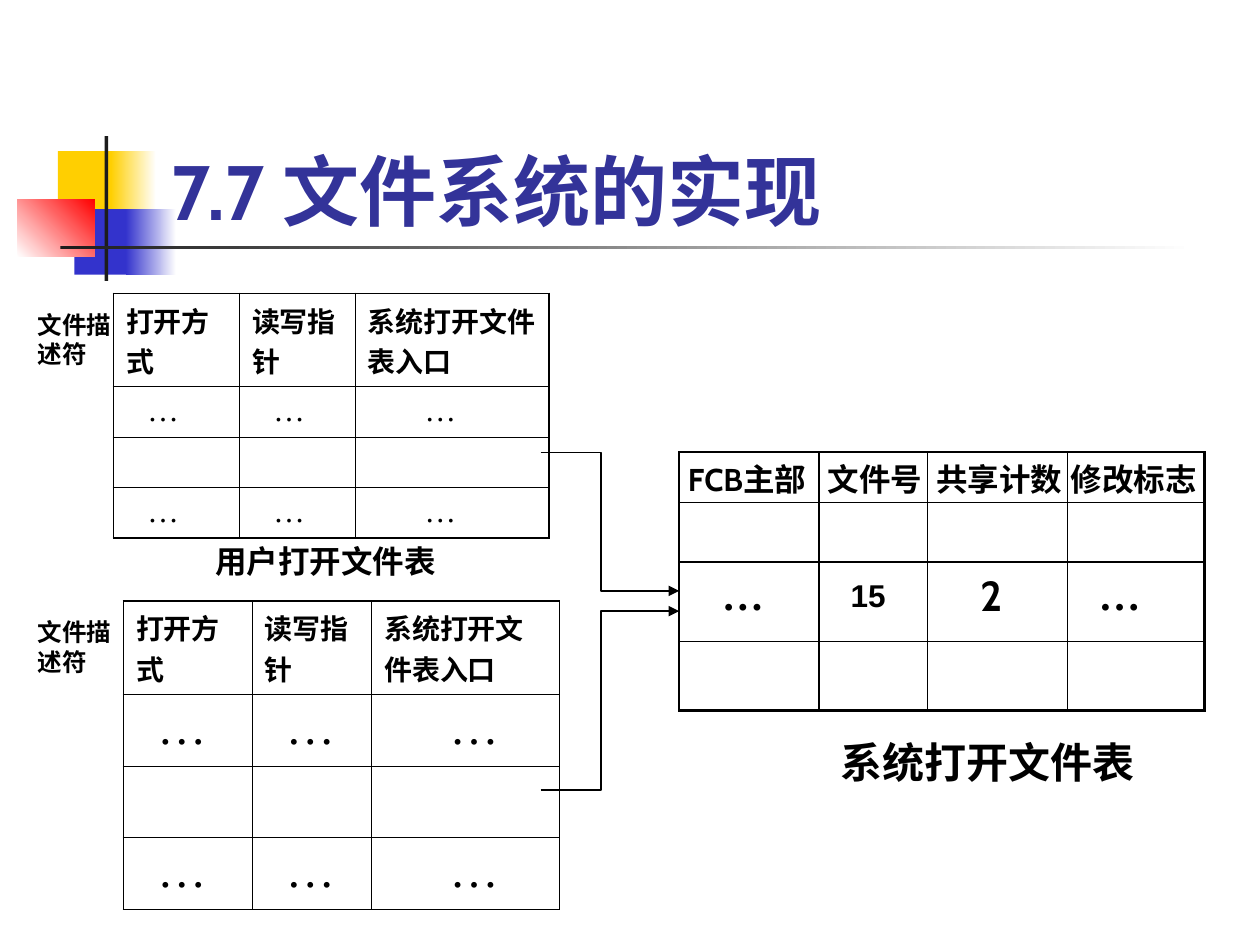
from dataclasses import dataclass

from lxml.etree import SubElement
from pptx import Presentation
from pptx.dml.color import RGBColor
from pptx.enum.shapes import MSO_SHAPE
from pptx.enum.text import MSO_ANCHOR
from pptx.oxml.ns import qn
from pptx.util import Inches, Pt


@dataclass(frozen=True)
class Theme:
    ink: str = "000000"
    paper: str = "FFFFFF"
    title: str = "333399"
    yellow: str = "FFCF01"
    blue: str = "3333CC"
    red: str = "FF0000"
    bar: str = "1C1C1C"
    face: str = "Cabin"
    label_face: str = "Arial"
    dots_face: str = "Times New Roman"
    title_size: int = 44
    dots_size: int = 28
    large: int = 24
    body: int = 18
    head: int = 16
    small: int = 14


THEME = Theme()
DOTS = "…"
USER_HEADERS = ["打开方式", "读写指针", "系统打开文件表入口"]


def write(frame, text, size=THEME.body, face=THEME.face, color=THEME.ink, bold=True):
    frame.word_wrap = True
    run = frame.paragraphs[0].add_run()
    run.text = text
    font = run.font
    font.size, font.name, font.bold = Pt(size), face, bold
    font.color.rgb = RGBColor.from_string(color)


def add_label(slide, box, text, anchor=MSO_ANCHOR.TOP, **style):
    frame = slide.shapes.add_textbox(*map(Inches, box)).text_frame
    frame.vertical_anchor = anchor
    write(frame, text, **style)


def add_block(slide, box, start, end=None, angle=0):
    """Plain rectangle, or one that fades from start to end."""
    block = slide.shapes.add_shape(MSO_SHAPE.RECTANGLE, *map(Inches, box))
    block.shadow.inherit = False
    block.line.fill.background()
    if end is None:
        block.fill.solid()
        block.fill.fore_color.rgb = RGBColor.from_string(start)
        return
    block.fill.gradient()
    block.fill.gradient_angle = angle
    for stop, color in zip(block.fill.gradient_stops, (start, end)):
        stop.color.rgb = RGBColor.from_string(color)


def add_title_band(slide, box, text):
    left, top, width, _ = box
    for dx, dy, w, h, *fill in (
        (0.32, 0.12, 0.48, 0.52, THEME.yellow),
        (0.74, 0.12, 0.36, 0.52, THEME.yellow, THEME.paper),
        (0.45, 0.58, 0.46, 0.52, THEME.blue),
        (0.86, 0.58, 0.4, 0.52, THEME.blue, THEME.paper),
        (0, 0.5, 0.61, 0.46, THEME.paper, THEME.red, 45),
        (0.69, 0, 0.03, 1.15, THEME.bar),
        (0.34, 0.87, 9, 0.03, THEME.bar, THEME.paper),
    ):
        add_block(slide, (left + dx, top + dy, w, h), *fill)
    add_label(slide, (left + 1.12, top - 0.41, width - 1.12, 1.25), text,
              anchor=MSO_ANCHOR.BOTTOM, size=THEME.title_size, color=THEME.title)


def set_borders(cell, widths):
    """Widths in points, in the order left, right, top, bottom."""
    props = cell._tc.get_or_add_tcPr()
    for side, width in zip("LRTB", widths):
        line = SubElement(props, qn(f"a:ln{side}"), w=str(Pt(width)))
        fill = SubElement(line, qn("a:solidFill"))
        SubElement(fill, qn("a:srgbClr"), val=THEME.ink)


def add_grid(slide, left, top, widths, heights, inner, outer):
    """Unfilled table with a heavier outer frame."""
    table = slide.shapes.add_table(
        len(heights), len(widths), Inches(left), Inches(top),
        Inches(sum(widths)), Inches(sum(heights))).table
    table.first_row = table.horz_banding = False
    for column, width in zip(table.columns, widths):
        column.width = Inches(width)
    for row, height in zip(table.rows, heights):
        row.height = Inches(height)
    last_row, last_col = len(heights) - 1, len(widths) - 1
    for r in range(last_row + 1):
        for c in range(last_col + 1):
            cell = table.cell(r, c)
            edges = (c == 0, c == last_col, r == 0, r == last_row)
            set_borders(cell, [outer if edge else inner for edge in edges])
            cell.fill.background()
    return table


def add_user_table(slide, left, top, widths, row_height, dots_size, indents):
    table = add_grid(slide, left, top, widths, [0.74] + [row_height] * 3, 0.45, 1.08)
    for c, (header, indent) in enumerate(zip(USER_HEADERS, indents)):
        write(table.cell(0, c).text_frame, header, size=THEME.head)
        for r in (1, 3):
            cell = table.cell(r, c)
            cell.margin_left = Inches(indent)
            write(cell.text_frame, DOTS, size=dots_size, face=THEME.dots_face, bold=False)
    add_label(slide, (0.2, top + 0.08, 0.79, 0.57), "文件描述符",
              size=THEME.small, face=THEME.label_face)


def add_system_table(slide, left, top):
    table = add_grid(slide, left, top, [1.11, 0.86, 1.11, 1.09],
                     [0.4, 0.47, 0.63, 0.55], 0.75, 1.5)
    for cell in table.iter_cells():
        cell.margin_top = cell.margin_bottom = cell.margin_right = 0
        cell.vertical_anchor = MSO_ANCHOR.MIDDLE
    headers = (("FCB主部", 0.07, THEME.face), ("文件号", 0.07, THEME.face),
               ("共享计数", 0.07, THEME.label_face), ("修改标志", 0.03, THEME.face))
    values = ((DOTS, 0.34, THEME.large, THEME.dots_face),
              ("15", 0.25, THEME.body, THEME.label_face),
              ("2", 0.42, THEME.large, THEME.face),
              (DOTS, 0.25, THEME.large, THEME.dots_face))
    for c, (text, indent, face) in enumerate(headers):
        cell = table.cell(0, c)
        cell.margin_left = Inches(indent)
        write(cell.text_frame, text, face=face)
    for c, (text, indent, size, face) in enumerate(values):
        cell = table.cell(2, c)
        cell.margin_left = Inches(indent)
        cell.margin_bottom = Inches(0.08)
        write(cell.text_frame, text, size=size, face=face)


def add_elbow_arrow(slide, start, bend_x, end):
    points = [start, (bend_x, start[1]), (bend_x, end[1]), end]
    points = [(Inches(x), Inches(y)) for x, y in points]
    builder = slide.shapes.build_freeform(*points[0])
    builder.add_line_segments(points[1:], close=False)
    arrow = builder.convert_to_shape()
    arrow.shadow.inherit = False
    arrow.fill.background()
    arrow.line.width = Pt(0.75)
    arrow.line.color.rgb = RGBColor.from_string(THEME.ink)
    outline = arrow.element.spPr.find(qn("a:ln"))
    SubElement(outline, qn("a:tailEnd"), type="triangle")


def main():
    deck = Presentation()
    deck.slide_width, deck.slide_height = Inches(10), Inches(7.5)
    slide = deck.slides.add_slide(deck.slide_layouts[6])

    add_title_band(slide, (0.14, 1.08, 9.64, 1.15), "7.7 文件系统的实现")
    add_user_table(slide, 0.9, 2.33, [1, 0.92, 1.54], 0.4, THEME.body,
                   [0.27, 0.27, 0.55])
    add_user_table(slide, 0.98, 4.77, [1.02, 0.95, 1.49], 0.57, THEME.dots_size,
                   [0.27, 0.27, 0.62])
    add_system_table(slide, 5.39, 3.59)
    add_label(slide, (1.61, 4.25, 2.28, 0.4), "用户打开文件表", face=THEME.label_face)
    add_label(slide, (6.57, 5.8, 2.68, 0.5), "系统打开文件表", size=THEME.large)
    for start_y, end_y in ((3.59, 4.69), (6.27, 4.85)):
        add_elbow_arrow(slide, (4.29, start_y), 4.77, (5.39, end_y))

    deck.save("out.pptx")


if __name__ == "__main__":
    main()
